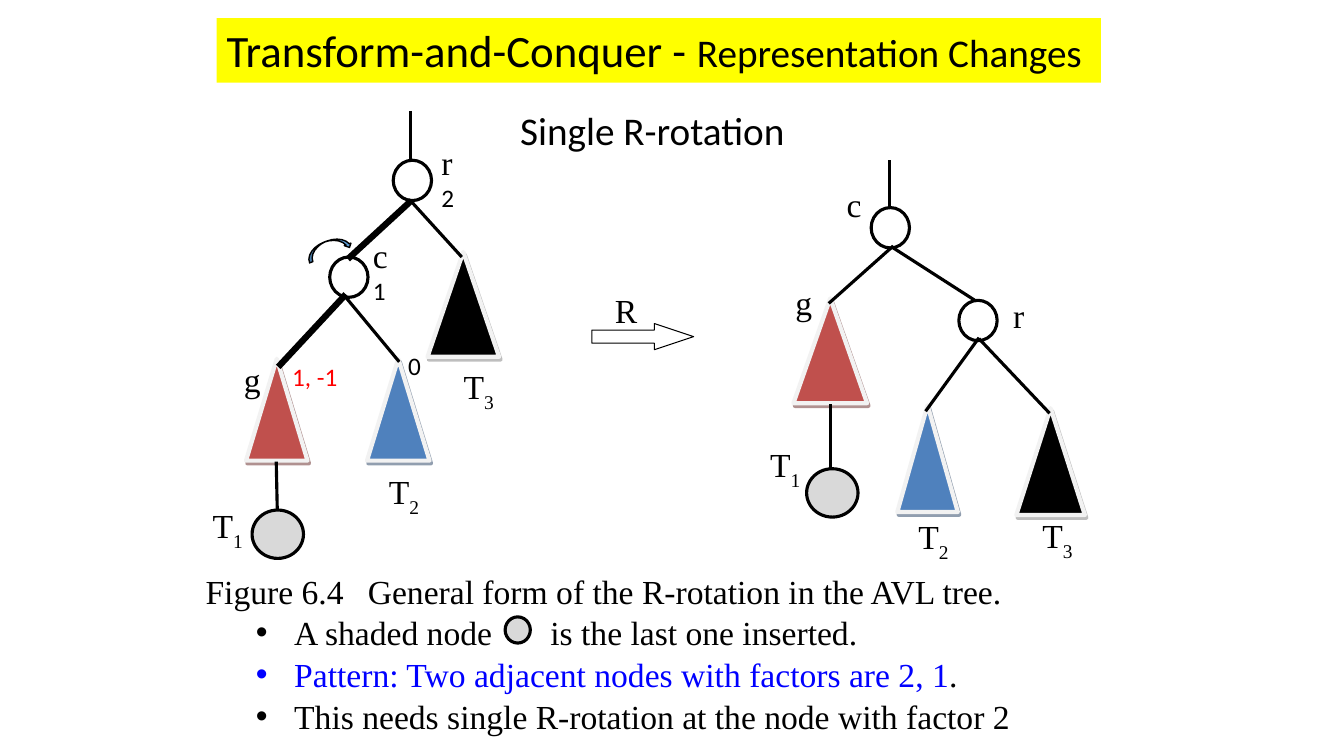
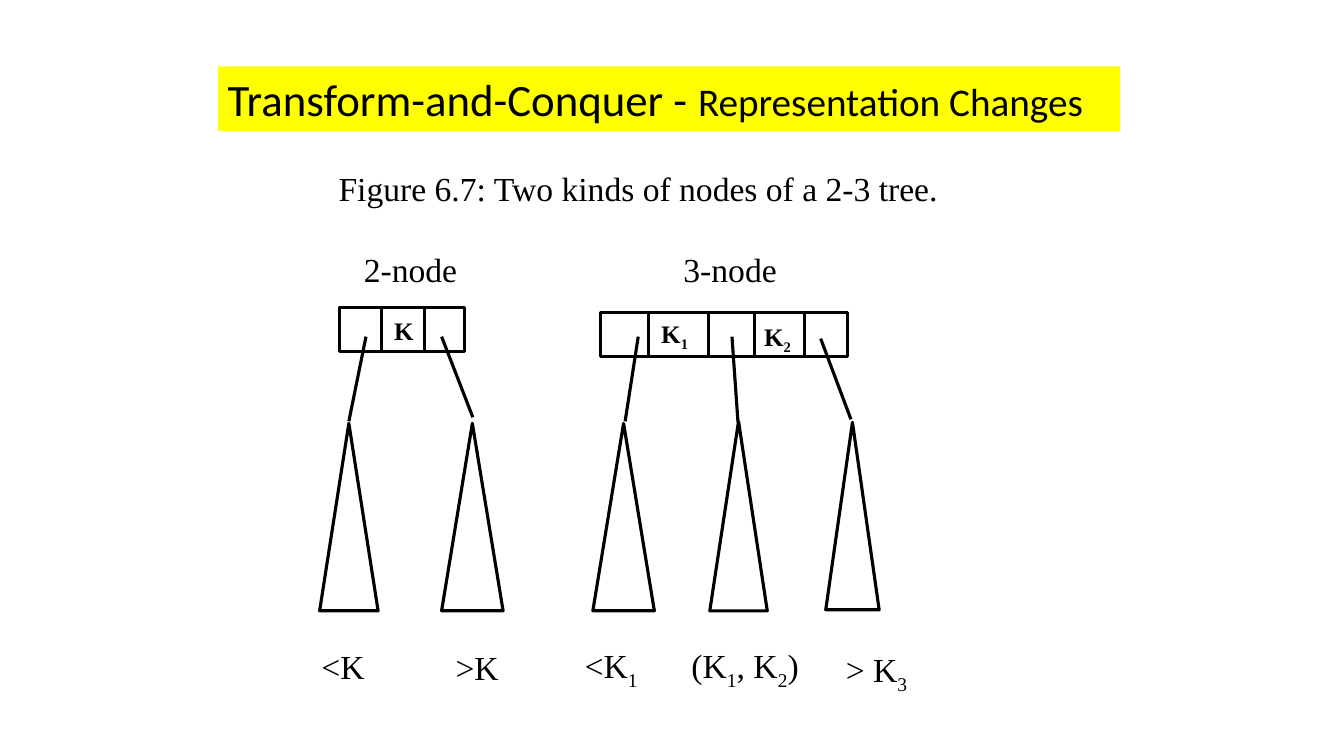
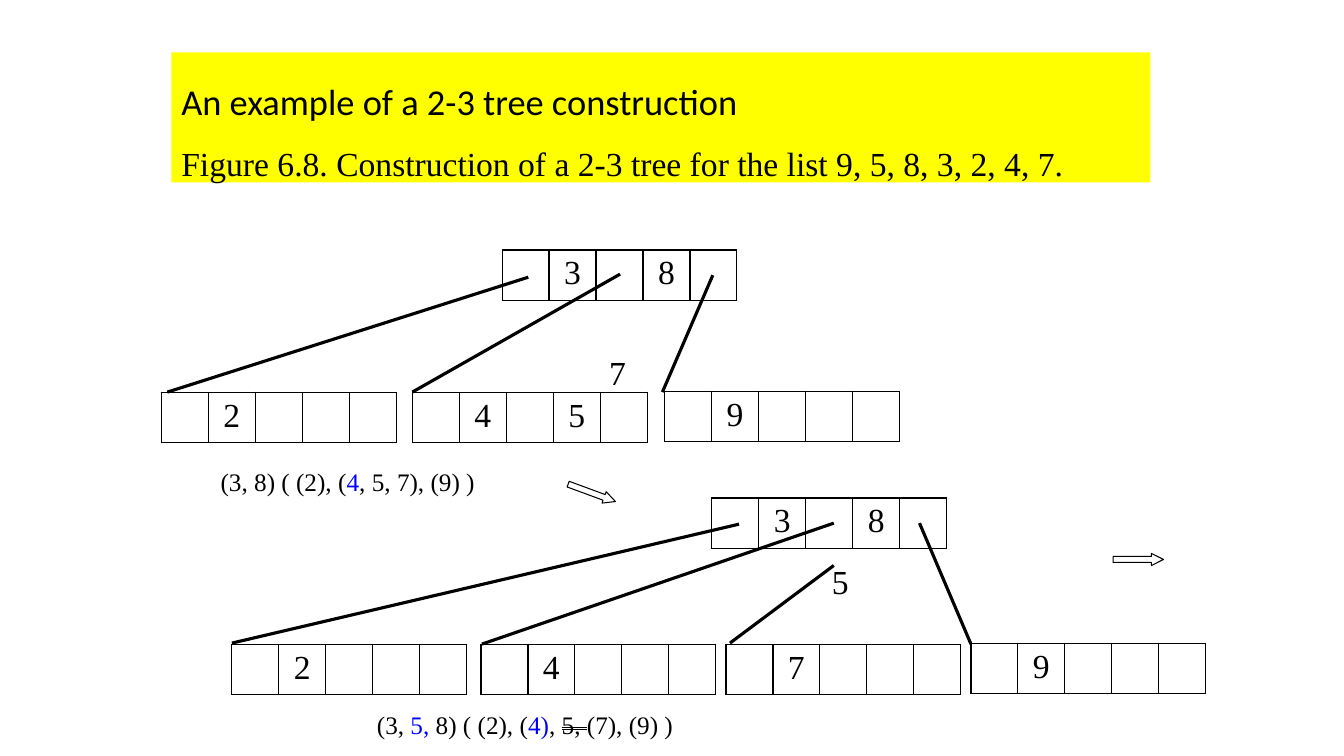
from lxml import etree
from pptx import Presentation
from pptx import util as u
from pptx.dml.color import RGBColor
from pptx.enum import shapes, text
from pptx.oxml.ns import qn

SHAPE = shapes.MSO_SHAPE
SERIF, SANS = "Times New Roman", "Calibri"
BLACK, WHITE, YELLOW, BLUE, RED = "000000", "FFFFFF", "FFFF00", "0000FF", "FF0000"
GREY, PALE, BRICK, STEEL, SKY = "D9D9D9", "F2F2F2", "C0504D", "4F81BD", "5B9BD5"
SHADOWS = {BRICK: "622423", STEEL: "243F60", BLACK: "7F7F7F"}
TITLE = [("Transform-and-Conquer - ", {"size": 32}), "Representation Changes"]


def rgb(value):
    return RGBColor.from_string(value)


def child(parent, tag, **attrs):
    return etree.SubElement(parent, qn(tag), {k: str(v) for k, v in attrs.items()})


def sub(*parts, base=-25):
    return [(t, {"base": base}) if i % 2 else t for i, t in enumerate(parts)]


def add_run(p, content, size=24, font=SERIF, color=BLACK, bold=False, base=0, strike=None):
    r = p.add_run()
    r.text = content
    r.font.size, r.font.name, r.font.bold = u.Pt(size), font, bold
    r.font.color.rgb = rgb(color)
    rPr = r._r.get_or_add_rPr()
    if base:
        rPr.set("baseline", str(base * 1000))
    if strike:
        rPr.set("strike", strike)


def write(tf, paragraphs, spacing=None, **fmt):
    tf.word_wrap = True
    tf.vertical_anchor = text.MSO_ANCHOR.TOP
    for i, para in enumerate(paragraphs):
        p = tf.paragraphs[0] if i == 0 else tf.add_paragraph()
        fill_paragraph(p, para, **fmt)
        if spacing:
            p.line_spacing = spacing


def fill_paragraph(p, runs, align=text.PP_ALIGN.LEFT, **fmt):
    p.alignment = align
    for run in [runs] if isinstance(runs, str) else runs:
        content, extra = (run, {}) if isinstance(run, str) else run
        add_run(p, content, **{**fmt, **extra})


def add_tab(p, pos):
    tabs = child(p._p.get_or_add_pPr(), "a:tabLst")
    child(tabs, "a:tab", pos=u.Inches(pos), algn="l")


def add_bullet(p, color=BLACK):
    pPr = p._p.get_or_add_pPr()
    pPr.set("marL", str(u.Inches(0.88)))
    pPr.set("indent", str(u.Inches(-0.38)))
    child(child(pPr, "a:buClr"), "a:srgbClr", val=color)
    child(pPr, "a:buFont", typeface="Arial")
    child(pPr, "a:buChar", char="•")


class Deck:
    def __init__(self):
        self.prs = Presentation()
        self.prs.slide_width, self.prs.slide_height = u.Inches(13.33), u.Inches(7.5)
        self.s = None

    def slide(self):
        self.s = self.prs.slides.add_slide(self.prs.slide_layouts[6])

    def shape(self, kind, x, y, w, h, fill=WHITE, line=BLACK, width=2.25, adj=(), rot=0):
        sp = self.s.shapes.add_shape(kind, *map(u.Inches, (x, y, w, h)))
        sp.shadow.inherit = False
        sp.rotation = rot
        for i, value in enumerate(adj):
            sp.adjustments[i] = value
        if fill:
            sp.fill.solid()
            sp.fill.fore_color.rgb = rgb(fill)
        else:
            sp.fill.background()
        if line:
            sp.line.color.rgb = rgb(line)
            sp.line.width = u.Pt(width)
        else:
            sp.line.fill.background()
        return sp

    def band(self, x, y, w, h, paragraphs, **fmt):
        sp = self.shape(SHAPE.RECTANGLE, x, y, w, h, YELLOW, None)
        write(sp.text_frame, paragraphs, **{"size": 28, "font": SANS, **fmt})

    def text(self, x, y, w, h, *paragraphs, **fmt):
        tf = self.s.shapes.add_textbox(*map(u.Inches, (x, y, w, h))).text_frame
        write(tf, paragraphs, **fmt)
        return tf

    def line(self, x1, y1, x2, y2, width=2.25):
        cx = self.s.shapes.add_connector(
            shapes.MSO_CONNECTOR.STRAIGHT, *map(u.Inches, (x1, y1, x2, y2)))
        cx.line.color.rgb = rgb(BLACK)
        cx.line.width = u.Pt(width)
        child(cx._element.spPr, "a:effectLst")

    def subtree(self, x, y, w, h, color):
        sp = self.shape(SHAPE.FLOWCHART_EXTRACT, x, y, w, h, color, PALE, 3)
        effects = sp._element.spPr.find(qn("a:effectLst"))
        shadow = child(effects, "a:outerShdw", dist=u.Pt(2.2), dir=63 * 60000,
                       algn="ctr", rotWithShape=0)
        child(child(shadow, "a:srgbClr", val=SHADOWS[color]), "a:alpha", val=50000)

    def node(self, x, y, w=0.38, h=0.4, fill=WHITE):
        self.shape(SHAPE.FLOWCHART_CONNECTOR, x, y, w, h, fill)

    def arrow(self, x, y, w, h, head, rot=0):
        self.shape(SHAPE.RIGHT_ARROW, x, y, w, h, width=0.75, adj=(0.5, head), rot=rot)

    def key_node(self, x, y, *keys):
        frame = self.s.shapes.add_table(1, 5, *map(u.Inches, (x, y, 2.33, 0.5)))
        tbl = frame.table
        tbl.first_row = tbl.horz_banding = False
        for i, cell in enumerate(tbl.iter_cells()):
            cell.fill.solid()
            cell.fill.fore_color.rgb = rgb(WHITE)
            tcPr = cell._tc.get_or_add_tcPr()
            for n, side in enumerate(("a:lnL", "a:lnR", "a:lnT", "a:lnB")):
                ln = child(tcPr, side, w=u.Pt(1))
                child(child(ln, "a:solidFill"), "a:srgbClr", val=BLACK)
                tcPr.insert(n, ln)
            if i % 2 and i // 2 < len(keys):
                fill_paragraph(cell.text_frame.paragraphs[0], keys[i // 2],
                               align=text.PP_ALIGN.CENTER)


def rotation_slide(d):
    d.slide()
    for tree in [(2.44, 3.56, 0.61, 1.01, BRICK), (3.64, 3.56, 0.62, 1.01, STEEL),
                 (4.24, 2.5, 0.71, 1.04, BLACK), (7.87, 2.96, 0.73, 1.04, BRICK),
                 (8.9, 4.02, 0.6, 1.06, STEEL), (10.08, 4.05, 0.68, 1.06, BLACK)]:
        d.subtree(*tree)
    for x, y in [(3.27, 2.55), (3.9, 1.59), (9.51, 2.98), (8.64, 2.06)]:
        d.node(x, y)
    for edge in [(3.43, 2.92, 2.76, 3.64, 4.5), (4.08, 1.99, 3.45, 2.57, 4.5),
                 (2.74, 4.58, 2.75, 5.06), (3.43, 2.95, 3.96, 3.59),
                 (4.08, 2, 4.58, 2.55), (4.07, 1.1, 4.07, 1.58),
                 (8.82, 1.59, 8.82, 2.07), (8.86, 2.46, 9.67, 2.98),
                 (9.71, 3.36, 10.41, 4.1), (9.71, 3.35, 9.18, 4.08),
                 (8.86, 2.44, 8.22, 3.01), (8.24, 4.01, 8.24, 4.65)]:
        d.line(*edge)
    for x, y in [(2.5, 5.06), (8, 4.65)]:
        d.node(x, y, 0.51, 0.48, GREY)
    d.arrow(5.87, 3.21, 1.01, 0.26, 1.5)
    d.shape(SHAPE.CURVED_DOWN_ARROW, 3.03, 2.39, 0.46, 0.14, SKY, width=1, rot=338.8)

    d.text(5.06, 1.01, 2.92, 0.57, "Single R-rotation", size=28, font=SANS)
    for x, y, name in [(2.32, 3.51, "g"), (7.79, 2.75, "g"), (8.3, 1.78, "c"),
                       (9.95, 2.88, "r"), (6, 2.83, "R")]:
        d.text(x, y, 0.44, 0.5, name)
    for x, y, n in [(2.01, 4.96, "1"), (3.76, 4.62, "2"), (4.5, 3.58, "3"),
                    (7.54, 4.35, "1"), (9.01, 5.07, "2"), (10.24, 5.06, "3")]:
        d.text(x, y, 0.6, 0.5, sub("T", n, base=-30))
    factor = {"size": 18, "font": SANS}
    for x, y, name, value in [(4.28, 1.36, "r", "2"), (3.6, 2.28, "c", "1")]:
        d.text(x, y, 0.38, 0.81, name, [(value, factor)])
    d.text(2.8, 3.54, 0.75, 0.4, "1, -1", color=RED, **factor)
    d.text(3.95, 3.43, 0.38, 0.4, "0", **factor)

    tf = d.text(1.94, 5.61, 9.2, 1.72,
                "Figure 6.4\tGeneral form of the R-rotation in the AVL tree.",
                "A shaded node\tis the last one inserted.",
                [("Pattern: Two adjacent nodes with factors are 2, 1", {"color": BLUE}), "."],
                "This needs single R-rotation at the node with factor 2")
    caption, shaded, pattern, action = tf.paragraphs
    for p, color in [(shaded, BLACK), (pattern, BLUE), (action, BLACK)]:
        p.space_before = u.Pt(1)
        add_bullet(p, color)
    add_tab(caption, 1.61)
    add_tab(shaded, 3.42)
    d.node(5.01, 6.12, 0.25, 0.26, GREY)
    d.band(2.15, 0.18, 8.77, 0.64, [TITLE])


def node_kinds_slide(d):
    d.slide()
    for x, y, w, h in [(3.17, 4.2, 0.58, 1.86), (4.38, 4.2, 0.61, 1.86),
                       (5.88, 4.2, 0.61, 1.86), (7.04, 4.18, 0.57, 1.88),
                       (8.19, 4.19, 0.53, 1.86)]:
        d.shape(SHAPE.ISOSCELES_TRIANGLE, x, y, w, h)
    for x, y, w, dividers in [(3.37, 3.05, 1.24, (3.78, 4.21)),
                              (5.96, 3.1, 2.45, (6.43, 7.03, 7.48, 7.98))]:
        d.shape(SHAPE.RECTANGLE, x, y, w, 0.44, None)
        for at in dividers:
            d.line(at, y, at, y + 0.45)
    for edge in [(3.63, 3.34, 3.46, 4.18), (4.38, 3.34, 4.69, 4.14),
                 (6.33, 3.34, 6.2, 4.18), (7.26, 3.34, 7.32, 4.19),
                 (8.14, 3.36, 8.44, 4.16)]:
        d.line(*edge)
    for x, y, key in [(3.81, 3.08, "K"), (6.46, 3.11, sub("K", "1")),
                      (7.48, 3.14, sub("K", "2"))]:
        d.text(x, y, 0.55, 0.4, key, size=18, bold=True)
    for x, y, w, label in [(3.09, 6.36, 0.72, "<K"), (4.42, 6.37, 0.66, ">K"),
                           (5.7, 6.35, 0.8, sub("<K", "1")),
                           (6.76, 6.35, 1.32, sub("(K", "1", ", K", "2", ")")),
                           (8.29, 6.39, 0.89, sub("> K", "3")),
                           (3.26, 1.62, 7.2, "Figure 6.7: Two kinds of nodes of a 2-3 tree."),
                           (3.51, 2.42, 1.5, "2-node"), (6.68, 2.42, 1.5, "3-node")]:
        d.text(x, y, w, 0.5, label)
    d.band(2.16, 0.66, 8.95, 0.64, [TITLE])


def construction_slide(d):
    d.slide()
    d.band(1.7, 0.52, 9.71, 1.29,
           [[("An example of a 2-3 tree construction", {"size": 26, "font": SANS})],
            "Figure 6.8. Construction of a 2-3 tree for the list 9, 5, 8, 3, 2, 4, 7."],
           size=24, font=SERIF, spacing=1.5)
    d.arrow(11.04, 5.49, 0.5, 0.12, 1)
    d.arrow(5.62, 4.83, 0.5, 0.12, 1, 20.2)
    for x, y, key in [(8.06, 5.52, "5"), (5.85, 3.44, "7")]:
        d.text(x, y, 0.55, 0.5, key, align=text.PP_ALIGN.CENTER)
    for key_node in [(4.98, 2.48, "3", "8"), (1.6, 3.89, "2"), (4.09, 3.89, "4", "5"),
                     (6.59, 3.88, "9"), (7.06, 4.94, "3", "8"), (2.3, 6.39, "2"),
                     (4.77, 6.39, "4"), (7.2, 6.39, "7"), (9.63, 6.38, "9")]:
        d.key_node(*key_node)
    for edge in [(7.07, 2.73, 6.57, 3.89), (6.15, 2.72, 4.09, 3.89),
                 (5.24, 2.75, 1.66, 3.89), (9.12, 5.19, 9.63, 6.39),
                 (8.27, 5.61, 7.24, 6.38), (8.27, 5.19, 4.78, 6.39),
                 (7.33, 5.2, 2.3, 6.38)]:
        d.line(*edge)
    new = {"color": BLUE}
    d.text(2.09, 4.58, 4.46, 0.4, ["(3, 8) ( (2), (", ("4", new), ", 5, 7), (9) )"], size=18)
    d.text(3.64, 6.99, 4.46, 0.4,
           ["(3, ", ("5, ", new), "8) ( (2), (", ("4)", new), ", ",
            ("5, ", {"strike": "dblStrike"}), "(7), (9) )"], size=18)


def main():
    d = Deck()
    rotation_slide(d)
    node_kinds_slide(d)
    construction_slide(d)
    d.prs.save("out.pptx")


if __name__ == "__main__":
    main()
